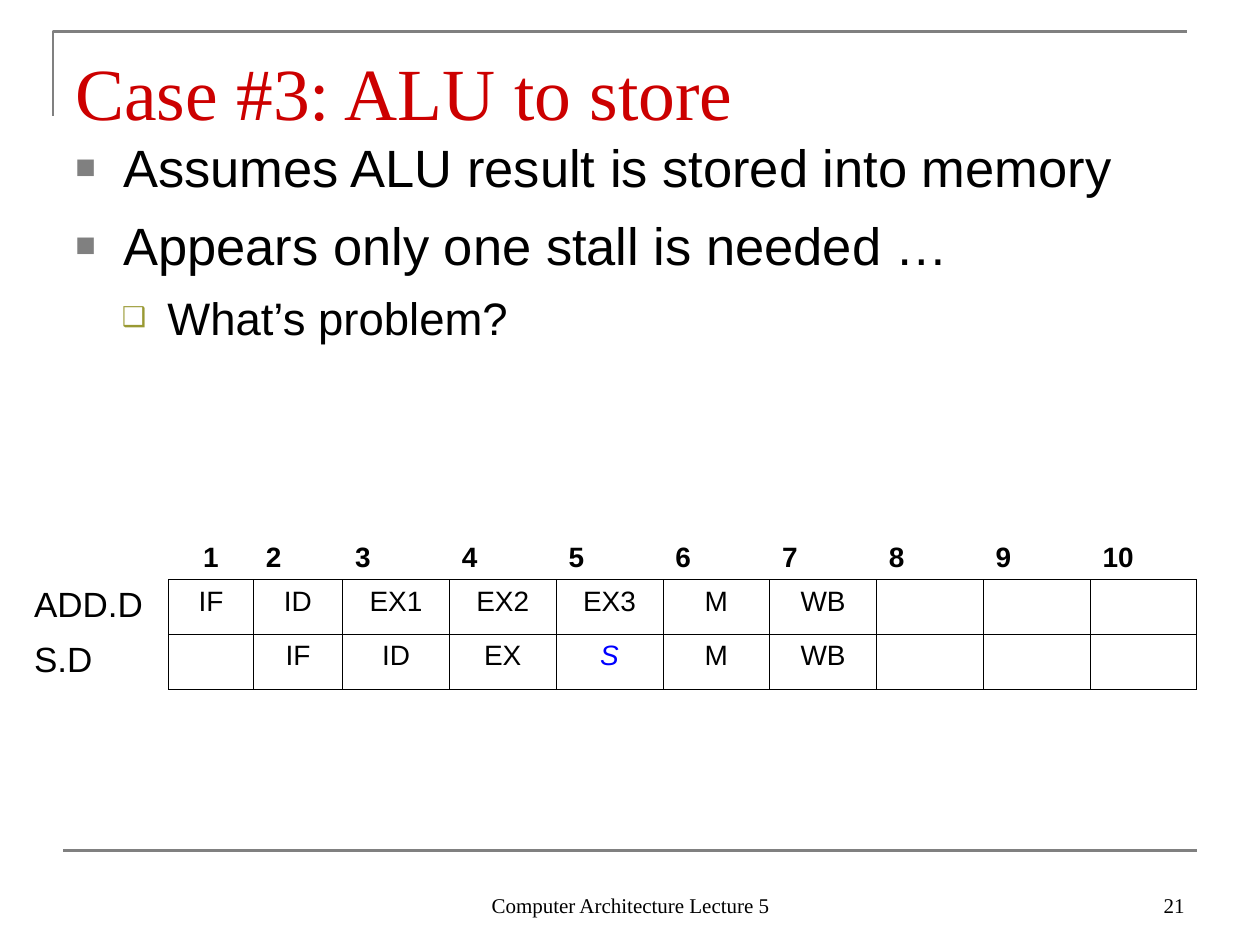
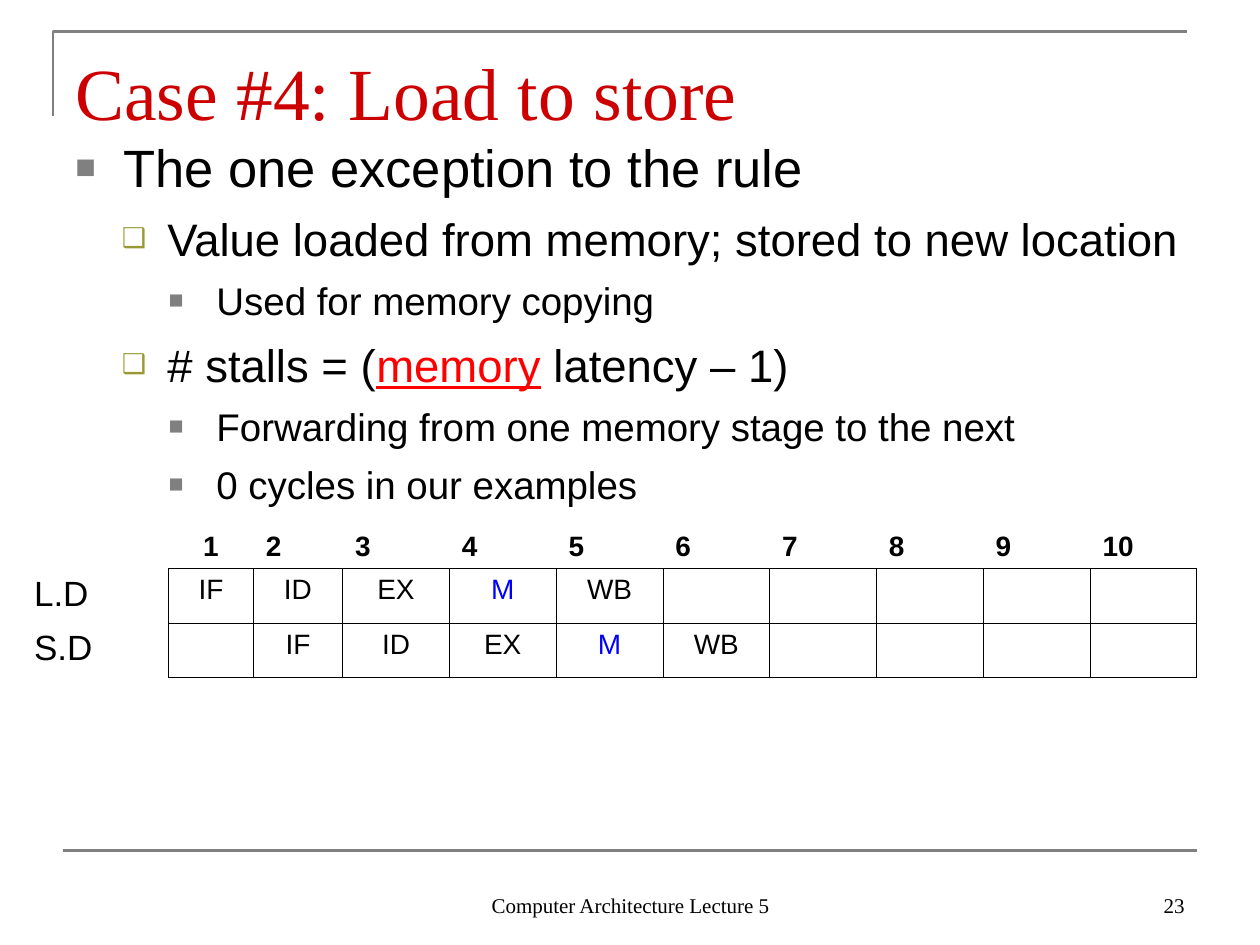
from dataclasses import dataclass

from lxml import etree
from pptx import Presentation
from pptx.dml.color import RGBColor
from pptx.enum.shapes import MSO_CONNECTOR
from pptx.enum.text import MSO_ANCHOR, PP_ALIGN
from pptx.oxml.ns import qn
from pptx.util import Inches, Pt

LEFT, CENTER, RIGHT = PP_ALIGN.LEFT, PP_ALIGN.CENTER, PP_ALIGN.RIGHT
TOP, BOTTOM = MSO_ANCHOR.TOP, MSO_ANCHOR.BOTTOM
STRAIGHT = MSO_CONNECTOR.STRAIGHT

SERIF, SANS = "Times New Roman", "Arial"
BLACK, WHITE, GRAY = "000000", "FFFFFF", "808080"
TITLE_RED, RED, BLUE, OLIVE = "CC0000", "FF0000", "0000FF", "999933"
FOOTER = "Computer Architecture Lecture 5"

CYCLES = 10
TABLE_LEFT, TABLE_WIDTH, ROW_HEIGHT = 0.17, 9.33, 0.43
FIRST_WIDTHS = [1.17, 0.67, 0.71]
OTHER_WIDTH = (TABLE_WIDTH - sum(FIRST_WIDTHS)) / (CYCLES + 1 - len(FIRST_WIDTHS))
COLUMN_WIDTHS = FIRST_WIDTHS + [OTHER_WIDTH] * (CYCLES + 1 - len(FIRST_WIDTHS))


@dataclass(frozen=True)
class Run:
    text: str
    color: str = BLACK
    bold: bool = False
    italic: bool = False
    underline: bool = False


@dataclass(frozen=True)
class Level:
    size: int
    margin: float
    hanging: float
    before: float
    bullet: str
    color: str
    percent: int


@dataclass(frozen=True)
class Bullet:
    level: int
    runs: list[Run]


@dataclass(frozen=True)
class Instruction:
    name: str
    start: int
    stages: list[Run]


@dataclass(frozen=True)
class CaseSlide:
    title: str
    number: int
    bullets: list[Bullet]
    table_top: float
    instructions: list[Instruction]


LEVELS = [
    Level(30, 0.38, 0.38, 7.5, "■", GRAY, 65),
    Level(26, 0.73, 0.36, 6.5, "❑", OLIVE, 60),
    Level(22, 1.12, 0.38, 5.5, "■", GRAY, 65),
]


def plain(text: str) -> list[Run]:
    """Split a line of stage names into unformatted runs."""
    return [Run(word) for word in text.split()]


SLIDES = [
    CaseSlide(
        "Case #3: ALU to store", 21,
        [
            Bullet(0, [Run("Assumes ALU result is stored into memory")]),
            Bullet(0, [Run("Appears only one stall is needed …")]),
            Bullet(1, [Run("What’s problem?")]),
        ],
        4.17,
        [
            Instruction("ADD.D", 1, plain("IF ID EX1 EX2 EX3 M WB")),
            Instruction("S.D", 2, plain("IF ID EX") + [Run("S", BLUE, italic=True)]
                        + plain("M WB")),
        ],
    ),
    CaseSlide(
        "Case #4: Load to store", 23,
        [
            Bullet(0, [Run("The one exception to the rule")]),
            Bullet(1, [Run("Value loaded from memory; stored to new location")]),
            Bullet(2, [Run("Used for memory copying")]),
            Bullet(1, [Run("# stalls = ("), Run("memory", RED, underline=True),
                       Run(" latency – 1)")]),
            Bullet(2, [Run("Forwarding from one memory stage to the next")]),
            Bullet(2, [Run("0 cycles in our examples")]),
        ],
        4.08,
        [
            Instruction(name, start,
                        plain("IF ID EX") + [Run("M", BLUE)] + plain("WB"))
            for start, name in enumerate(["L.D", "S.D"], 1)
        ],
    ),
]


def rgb(color: str) -> RGBColor:
    return RGBColor.from_string(color)


def add_runs(p, runs: list[Run], size: float, font: str) -> None:
    for run in runs:
        r = p.add_run()
        r.text = run.text
        formats = {"name": font, "size": Pt(size), "bold": run.bold,
                   "italic": run.italic, "underline": run.underline}
        for name, value in formats.items():
            setattr(r.font, name, value)
        r.font.color.rgb = rgb(run.color)


def add_text_frame(s, left: float, top: float, width: float, height: float,
                   anchor=TOP, bottom_inset: float = 0.05):
    sp = s.shapes.add_textbox(*map(Inches, (left, top, width, height)))
    tf = sp.text_frame
    formats = {"word_wrap": True, "vertical_anchor": anchor,
               "margin_bottom": Inches(bottom_inset)}
    for name, value in formats.items():
        setattr(tf, name, value)
    return tf


def set_bullet(p, level: Level) -> None:
    pPr = p._p.get_or_add_pPr()
    pPr.set("marL", str(Inches(level.margin)))
    pPr.set("indent", str(-Inches(level.hanging)))
    color = etree.SubElement(pPr, qn("a:buClr"))
    etree.SubElement(color, qn("a:srgbClr"), val=level.color)
    etree.SubElement(pPr, qn("a:buSzPct"), val=str(level.percent * 1000))
    etree.SubElement(pPr, qn("a:buFont"), typeface=SANS)
    etree.SubElement(pPr, qn("a:buChar"), char=level.bullet)


def add_frame_lines(s) -> None:
    """Draw the corner rule around the title and the rule above the footer."""
    builder = s.shapes.build_freeform(Inches(0.42), Inches(0.92))
    corner = [(Inches(0.42), Inches(0.25)), (Inches(9.42), Inches(0.25))]
    builder.add_line_segments(corner, close=False)
    title_rule = builder.convert_to_shape()
    title_rule.shadow.inherit = False
    title_rule.fill.background()
    footer_rule = s.shapes.add_connector(
        STRAIGHT, *map(Inches, (0.5, 6.75, 9.5, 6.75)))
    for sp in (title_rule, footer_rule):
        sp.line.color.rgb = rgb(GRAY)
        sp.line.width = Pt(1.5)
    etree.SubElement(footer_rule._element.spPr, qn("a:effectLst"))


def add_title(s, title: str) -> None:
    tf = add_text_frame(s, 0.5, 0.3, 9, 0.78, BOTTOM, bottom_inset=0.01)
    add_runs(tf.paragraphs[0], [Run(title, TITLE_RED)], 42, SERIF)


def add_footer(s, number: int) -> None:
    for left, width, align, text in ((3.42, 3.17, CENTER, FOOTER),
                                     (7.17, 2.33, RIGHT, str(number))):
        p = add_text_frame(s, left, 6.83, width, 0.5, BOTTOM).paragraphs[0]
        p.alignment = align
        add_runs(p, [Run(text)], 12, SERIF)


def add_bullets(s, bullets: list[Bullet]) -> None:
    tf = add_text_frame(s, 0.5, 1, 9, 3.25)
    for i, bullet in enumerate(bullets):
        p = tf.add_paragraph() if i else tf.paragraphs[0]
        level = LEVELS[bullet.level]
        p.level = bullet.level
        p.space_before = Pt(level.before)
        p.line_spacing = 1.04
        set_bullet(p, level)
        add_runs(p, bullet.runs, level.size, SANS)


def set_borders(cell, row: int, column: int) -> None:
    """Rule the stage grid in black and hide the lines around its headings."""
    visible = {
        "L": row > 0 and column > 0,
        "R": row > 0,
        "T": row > 0 and column > 0,
        "B": column > 0,
    }
    tcPr = cell._tc.get_or_add_tcPr()
    for side, shown in visible.items():
        ln = etree.SubElement(tcPr, qn(f"a:ln{side}"), w=str(Pt(0.45)))
        fill = etree.SubElement(ln, qn("a:solidFill"))
        etree.SubElement(fill, qn("a:srgbClr"), val=BLACK if shown else WHITE)


def fill_cell(cell, run: Run, size: float, align, before: float = 4) -> None:
    p = cell.text_frame.paragraphs[0]
    p.alignment = align
    p.space_before = Pt(before)
    add_runs(p, [run], size, SANS)


def add_pipeline_table(s, top: float, instructions: list[Instruction]) -> None:
    rows = len(instructions) + 1
    table = s.shapes.add_table(
        rows, CYCLES + 1, Inches(TABLE_LEFT), Inches(top),
        Inches(TABLE_WIDTH), Inches(rows * ROW_HEIGHT)).table
    table.first_row = table.horz_banding = False
    for column, width in zip(table.columns, COLUMN_WIDTHS):
        column.width = Inches(width)
    for i, row in enumerate(table.rows):
        row.height = Inches(ROW_HEIGHT)
        for j, cell in enumerate(row.cells):
            set_borders(cell, i, j)
            cell.fill.background()
            cell.vertical_anchor = TOP if i else BOTTOM
    for cycle in range(1, CYCLES + 1):
        fill_cell(table.cell(0, cycle), Run(str(cycle), bold=True), 16,
                  CENTER if cycle == 1 else LEFT)
    for i, instruction in enumerate(instructions, 1):
        fill_cell(table.cell(i, 0), Run(instruction.name), 20, LEFT, before=5)
        for cycle, stage in enumerate(instruction.stages, instruction.start):
            fill_cell(table.cell(i, cycle), stage, 16, CENTER)


def main() -> None:
    prs = Presentation()
    prs.slide_width, prs.slide_height = Inches(10), Inches(7.5)
    for case in SLIDES:
        s = prs.slides.add_slide(prs.slide_layouts[6])
        add_frame_lines(s)
        add_title(s, case.title)
        add_bullets(s, case.bullets)
        add_footer(s, case.number)
        add_pipeline_table(s, case.table_top, case.instructions)
    prs.save("out.pptx")


if __name__ == "__main__":
    main()
